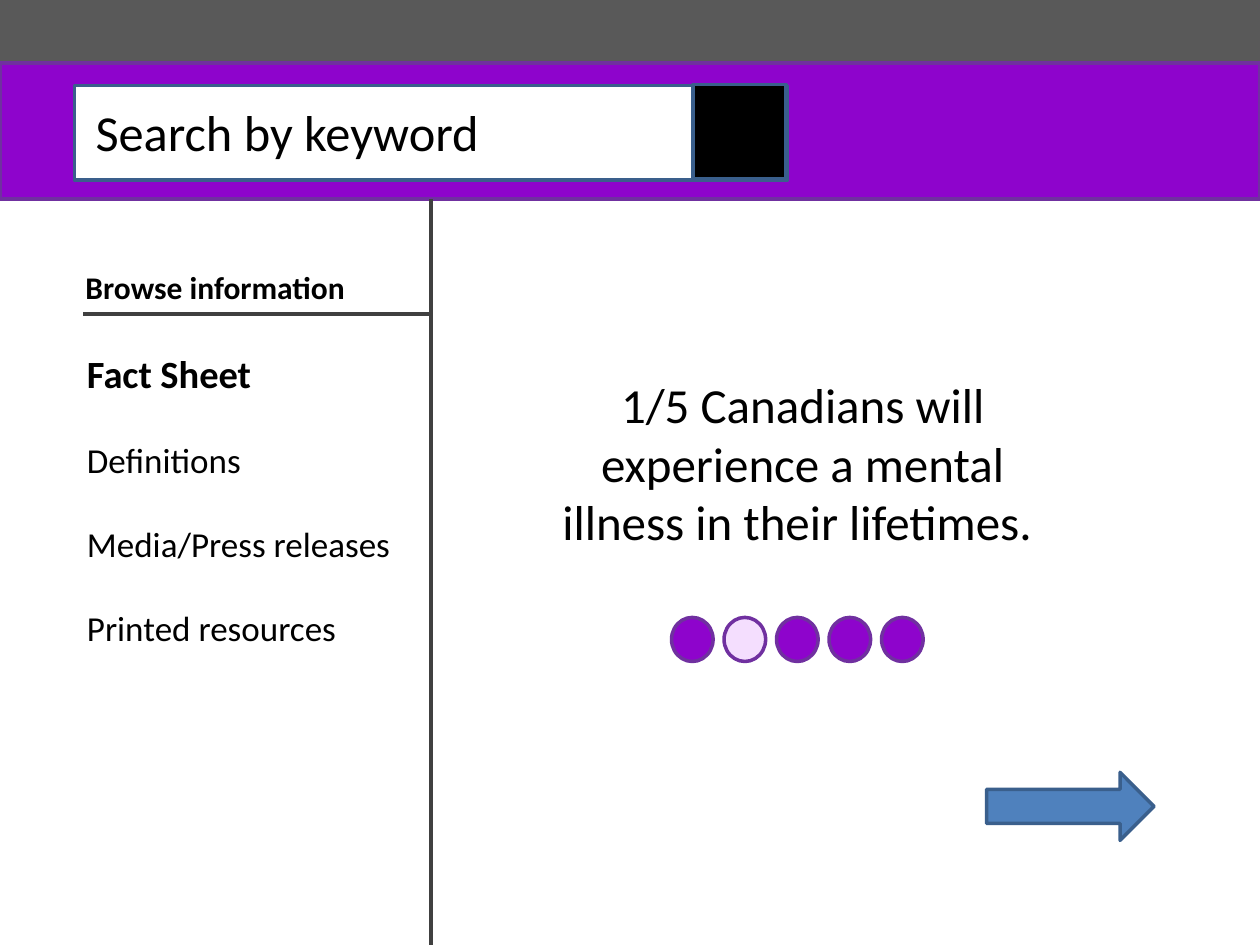
from lxml.etree import SubElement
from pptx import Presentation
from pptx.dml.color import RGBColor
from pptx.enum.shapes import MSO_CONNECTOR, MSO_SHAPE
from pptx.enum.text import MSO_ANCHOR, MSO_AUTO_SIZE, PP_ALIGN
from pptx.oxml.ns import qn
from pptx.util import Inches, Pt

COLORS = {
    "top bar": "595959",
    "purple": "8E04CC",
    "purple edge": "7030A0",
    "pale purple": "F4DEFE",
    "blue": "4F81BD",
    "blue edge": "3A5F8C",
    "rule": "404040",
    "white": "FFFFFF",
    "black": "000000",
}


def add_block(kind, left, top, width, height, fill, edge=None):
    """Add a filled preset shape, outlined only when an edge colour is named."""
    block = slide.shapes.add_shape(
        kind, Inches(left), Inches(top), Inches(width), Inches(height))
    block.shadow.inherit = False
    block.fill.solid()
    block.fill.fore_color.rgb = RGBColor.from_string(COLORS[fill])
    if edge:
        block.line.color.rgb = RGBColor.from_string(COLORS[edge])
        block.line.width = Pt(2)
    else:
        block.line.fill.background()
    return block


def write(para, text, size, bold=False, align=PP_ALIGN.LEFT):
    para.alignment = align
    span = para.add_run()
    span.text = text
    span.font.name = "Calibri"
    span.font.size = Pt(size)
    span.font.bold = bold
    span.font.color.rgb = RGBColor.from_string(COLORS["black"])


deck = Presentation()
deck.slide_width, deck.slide_height = Inches(10), Inches(7.5)
slide = deck.slides.add_slide(deck.slide_layouts[1])

# Text areas: main statement, topic list and list heading
statement = slide.shapes.title
topics = slide.placeholders[1]
heading = slide.shapes.add_textbox(0, 0, 0, 0)
text_areas = [
    (statement, 4.16, 2.92, 4.42, 1.99),
    (topics, 0.59, 2.73, 3.17, 3.1),
    (heading, 0.58, 2.08, 2.42, 0.4),
]
for area, left, top, width, height in text_areas:
    area.left, area.top = Inches(left), Inches(top)
    area.width, area.height = Inches(width), Inches(height)
    area.text_frame.word_wrap = True
    area.text_frame.auto_size = MSO_AUTO_SIZE.NONE
    area.text_frame.vertical_anchor = MSO_ANCHOR.TOP

write(statement.text_frame.paragraphs[0],
      "1/5 Canadians will experience a mental illness in their lifetimes. ",
      28, align=PP_ALIGN.CENTER)
write(heading.text_frame.paragraphs[0], "Browse information", 18, bold=True)

topic_names = ["Fact Sheet", "Definitions", "Media/Press releases", "Printed resources"]
for index, name in enumerate(topic_names):
    first = index == 0
    para = topics.text_frame.paragraphs[0] if first else topics.text_frame.add_paragraph()
    para.space_before = Pt(0 if first else 24)
    write(para, name, 22 if first else 20, bold=first)
    properties = para._p.get_or_add_pPr()
    properties.set("marL", "0")
    properties.set("indent", "0")
    SubElement(properties, qn("a:buNone"))

# Header with search field
add_block(MSO_SHAPE.RECTANGLE, 0, 0, 10, 0.5, "top bar", "top bar")
add_block(MSO_SHAPE.RECTANGLE, 0, 0.5, 10, 1.08, "purple", "purple edge")
add_block(MSO_SHAPE.RECTANGLE, 0.59, 0.68, 5.66, 0.75, "white", "blue edge")
add_block(MSO_SHAPE.RECTANGLE, 5.5, 0.67, 0.74, 0.75, "black", "blue edge")
search_label = add_block(MSO_SHAPE.RECTANGLE, 0.66, 0.75, 3.51, 0.58, "white")
search_label.text_frame.vertical_anchor = MSO_ANCHOR.MIDDLE
write(search_label.text_frame.paragraphs[0], "Search by keyword", 28.8)

# Page dots, the second one being current
for index in range(5):
    add_block(MSO_SHAPE.OVAL, 5.33 + index * 5 / 12, 4.9, 0.33, 0.35,
              "pale purple" if index == 1 else "purple", "purple edge")

add_block(MSO_SHAPE.RIGHT_ARROW, 7.83, 6.13, 1.33, 0.54, "blue", "blue edge")

# Sidebar divider and heading underline
for start_x, start_y, end_x, end_y in [(3.42, 1.58, 3.42, 7.5), (0.66, 2.49, 3.42, 2.49)]:
    rule = slide.shapes.add_connector(
        MSO_CONNECTOR.STRAIGHT,
        Inches(start_x), Inches(start_y), Inches(end_x), Inches(end_y))
    rule.line.color.rgb = RGBColor.from_string(COLORS["rule"])
    rule.line.width = Pt(2.25)
    SubElement(rule._element.spPr, qn("a:effectLst"))

deck.save("out.pptx")
